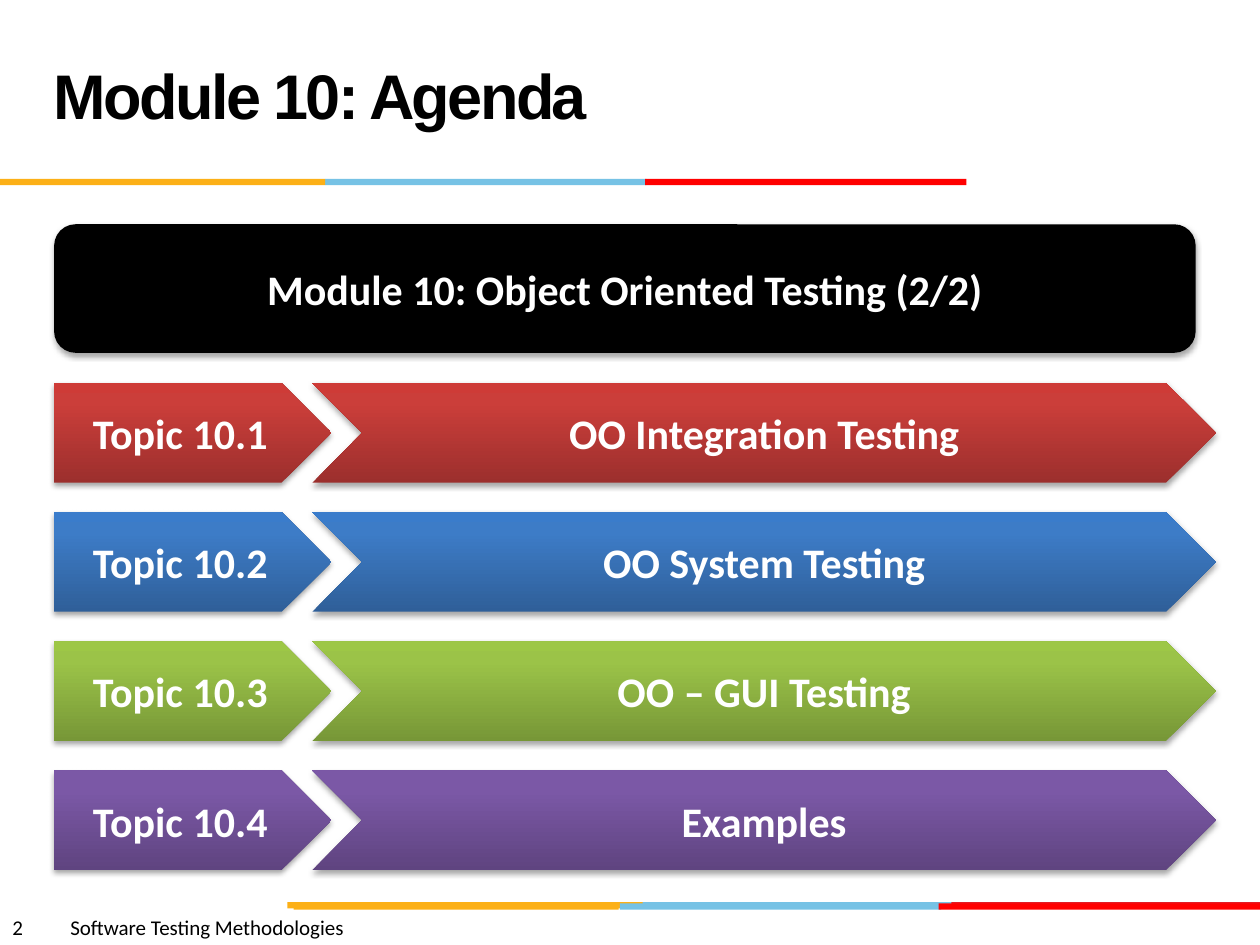
"""Build the agenda slide for a software testing module."""

import copy
from dataclasses import dataclass

import pptx
import pptx.dml.color
import pptx.enum.shapes
import pptx.enum.text
import pptx.oxml
import pptx.oxml.ns
import pptx.util

Inches = pptx.util.Inches
Pt = pptx.util.Pt
RGBColor = pptx.dml.color.RGBColor
Shape = pptx.enum.shapes.MSO_SHAPE
Align = pptx.enum.text.PP_ALIGN
Anchor = pptx.enum.text.MSO_ANCHOR

BLACK = RGBColor(0x00, 0x00, 0x00)
WHITE = RGBColor(0xFF, 0xFF, 0xFF)
AMBER = RGBColor(0xFC, 0xB0, 0x17)
SKY = RGBColor(0x76, 0xC2, 0xE5)
RED = RGBColor(0xFF, 0x00, 0x00)
CRIMSON = RGBColor(0xE3, 0x1C, 0x24)
RED_SHADES = (RGBColor(0x9C, 0x2F, 0x2D), RGBColor(0xCB, 0x3E, 0x3A), RGBColor(0xCE, 0x3B, 0x37))
BLUE_SHADES = (RGBColor(0x2F, 0x5F, 0x99), RGBColor(0x3D, 0x7C, 0xC7), RGBColor(0x3A, 0x7C, 0xCB))
GREEN_SHADES = (RGBColor(0x77, 0x97, 0x37), RGBColor(0x9B, 0xC3, 0x48), RGBColor(0x9D, 0xC7, 0x46))
PURPLE_SHADES = (RGBColor(0x5F, 0x44, 0x80), RGBColor(0x7B, 0x58, 0xA6), RGBColor(0x7C, 0x57, 0xA8))

SHADE_POSITIONS = (0, 0.8, 1)
STRIPE_HEIGHT = 0.05
LEFT = 0.43
TOPIC_TOP = 3.04
TOPIC_PITCH = 1.025
TOPIC_HEIGHT = 0.79
SHADOW = (
    f'<a:outerShdw {pptx.oxml.ns.nsdecls("a")} blurRad="40000" dist="23000" dir="5400000" '
    'rotWithShape="0"><a:srgbClr val="000000"><a:alpha val="35000"/></a:srgbClr></a:outerShdw>'
)


@dataclass(frozen=True)
class Stripe:
    left: float
    top: float
    width: float
    color: RGBColor


@dataclass(frozen=True)
class Topic:
    label: str
    subject: str
    shades: tuple[RGBColor, ...]


STRIPES = (
    Stripe(5.06, 7.16, 2.55, SKY),
    Stripe(7.55, 7.16, 2.45, CRIMSON),
    Stripe(2.28, 7.16, 2.82, AMBER),
    Stripe(4.92, 7.17, 2.55, SKY),
    Stripe(2.33, 7.17, 2.58, AMBER),
    Stripe(7.45, 7.17, 2.55, RED),
    Stripe(2.58, 1.42, 2.55, SKY),
    Stripe(0, 1.42, 2.58, AMBER),
    Stripe(5.12, 1.42, 2.55, RED),
)

TOPICS = (
    Topic("Topic 10.1", "OO Integration Testing", RED_SHADES),
    Topic("Topic 10.2", "OO System Testing", BLUE_SHADES),
    Topic("Topic 10.3", "OO – GUI Testing", GREEN_SHADES),
    Topic("Topic 10.4", "Examples", PURPLE_SHADES),
)


def write_text(box, text: str, *, size: float = 24, font: str = "Calibri",
               color: RGBColor = WHITE, bold: bool = True, align=Align.CENTER,
               anchor=Anchor.MIDDLE, line_spacing=None, tracking: float = 0):
    """Write one formatted paragraph into a shape and return it."""
    frame = box.text_frame
    frame.word_wrap = True
    frame.vertical_anchor = anchor
    para = frame.paragraphs[0]
    para.alignment = align
    if line_spacing is not None:
        para.line_spacing = line_spacing
    span = para.add_run()
    span.text = text
    span.font.size = Pt(size)
    span.font.name = font
    span.font.bold = bold
    span.font.color.rgb = color
    if tracking:
        span.font._element.set("spc", str(round(tracking * 100)))
    return para


def add_block(page, kind, left: float, top: float, width: float, height: float,
              shades: tuple[RGBColor, ...]):
    """Add a borderless shape with a solid fill or a vertical gradient."""
    block = page.shapes.add_shape(kind, Inches(left), Inches(top), Inches(width), Inches(height))
    block.shadow.inherit = False
    block.line.fill.background()
    if len(shades) == 1:
        block.fill.solid()
        block.fill.fore_color.rgb = shades[0]
        return block
    block.fill.gradient()
    block.fill.gradient_angle = 90
    stop_list = block._element.spPr.find(".//" + pptx.oxml.ns.qn("a:gsLst"))
    stop_list.append(copy.deepcopy(stop_list[-1]))
    for stop, position, shade in zip(block.fill.gradient_stops, SHADE_POSITIONS, shades):
        stop.position = position
        stop.color.rgb = shade
    return block


def add_banner(page, kind, left: float, top: float, width: float, height: float,
               shades: tuple[RGBColor, ...], text: str) -> None:
    """Add a labelled block with a soft shadow below it."""
    banner = add_block(page, kind, left, top, width, height, shades)
    effects = banner._element.spPr.find(pptx.oxml.ns.qn("a:effectLst"))
    effects.append(pptx.oxml.parse_xml(SHADOW))
    write_text(banner, text)


def add_topic(page, topic: Topic, top: float) -> None:
    """Add one agenda row: a topic number and its subject."""
    add_banner(page, Shape.PENTAGON, LEFT, top, 2.2, TOPIC_HEIGHT, topic.shades, topic.label)
    add_banner(page, Shape.CHEVRON, 2.48, top, 7.17, TOPIC_HEIGHT, topic.shades, topic.subject)


def add_footer(page) -> None:
    """Add the page number and course name, parted by a tab stop."""
    box = page.shapes.add_textbox(Inches(0), Inches(7.21), Inches(5), Inches(0.3))
    para = write_text(box, "2\tSoftware Testing Methodologies", size=12, color=BLACK,
                      bold=False, align=Align.LEFT, anchor=Anchor.TOP)
    tabs = pptx.oxml.parse_xml(
        f'<a:tabLst {pptx.oxml.ns.nsdecls("a")}><a:tab pos="{Inches(0.46)}" algn="l"/></a:tabLst>'
    )
    para._p.get_or_add_pPr().append(tabs)


def main() -> None:
    """Build the deck and save it."""
    deck = pptx.Presentation()
    deck.slide_width = Inches(10)
    deck.slide_height = Inches(7.5)
    page = deck.slides.add_slide(deck.slide_layouts[6])

    for stripe in STRIPES:
        add_block(page, Shape.RECTANGLE, stripe.left, stripe.top, stripe.width,
                  STRIPE_HEIGHT, (stripe.color,))
    add_footer(page)

    title = page.shapes.add_textbox(Inches(0.33), Inches(0.17), Inches(6.92), Inches(1.25))
    write_text(title, "Module 10: Agenda", size=36, font="Arial", color=BLACK,
               align=Align.LEFT, line_spacing=Pt(36), tracking=-1.5)

    add_banner(page, Shape.ROUNDED_RECTANGLE, LEFT, 1.78, 9.06, 1.02, (BLACK,),
               "Module 10: Object Oriented Testing (2/2)")
    for index, topic in enumerate(TOPICS):
        add_topic(page, topic, TOPIC_TOP + index * TOPIC_PITCH)

    deck.save("out.pptx")


if __name__ == "__main__":
    main()
